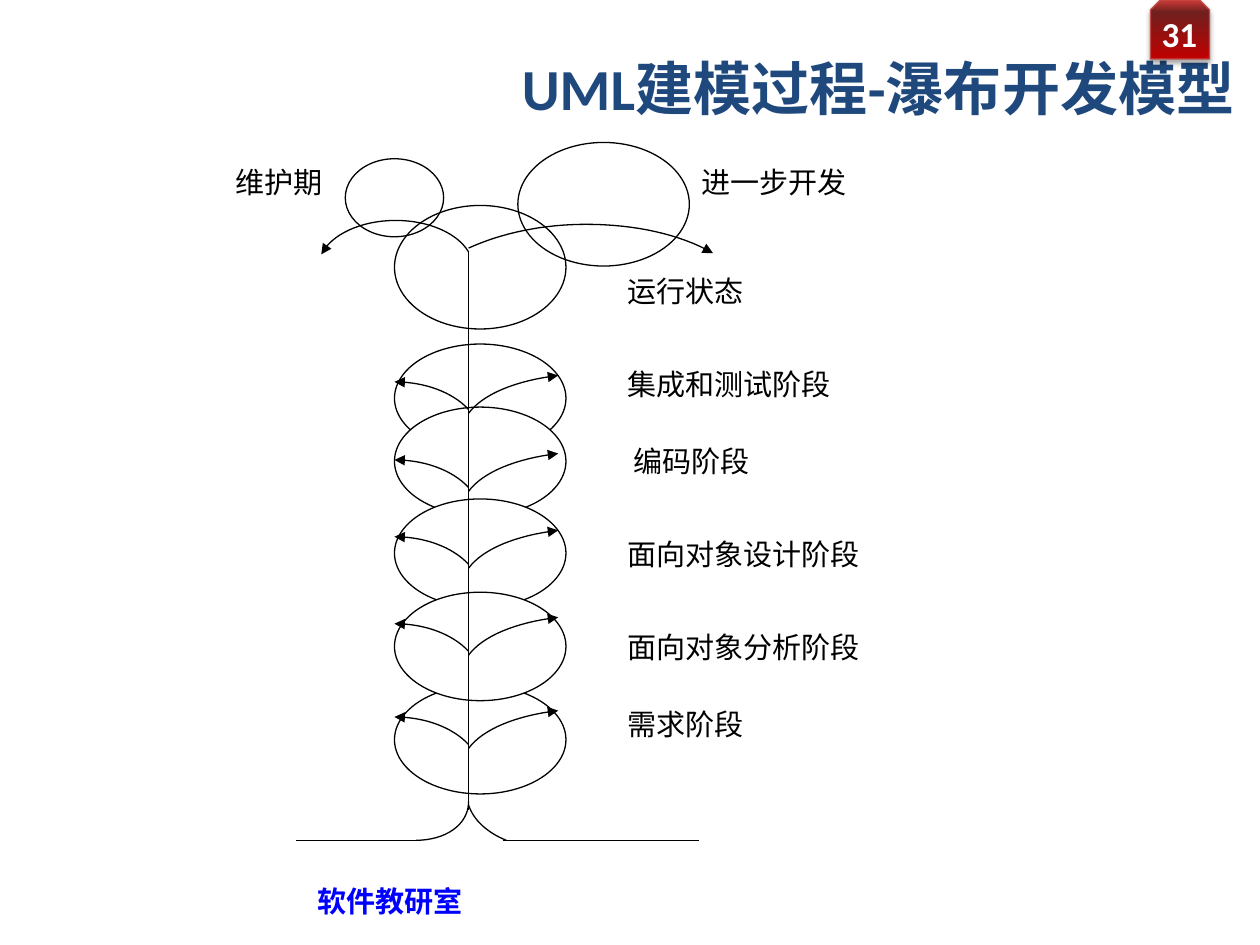
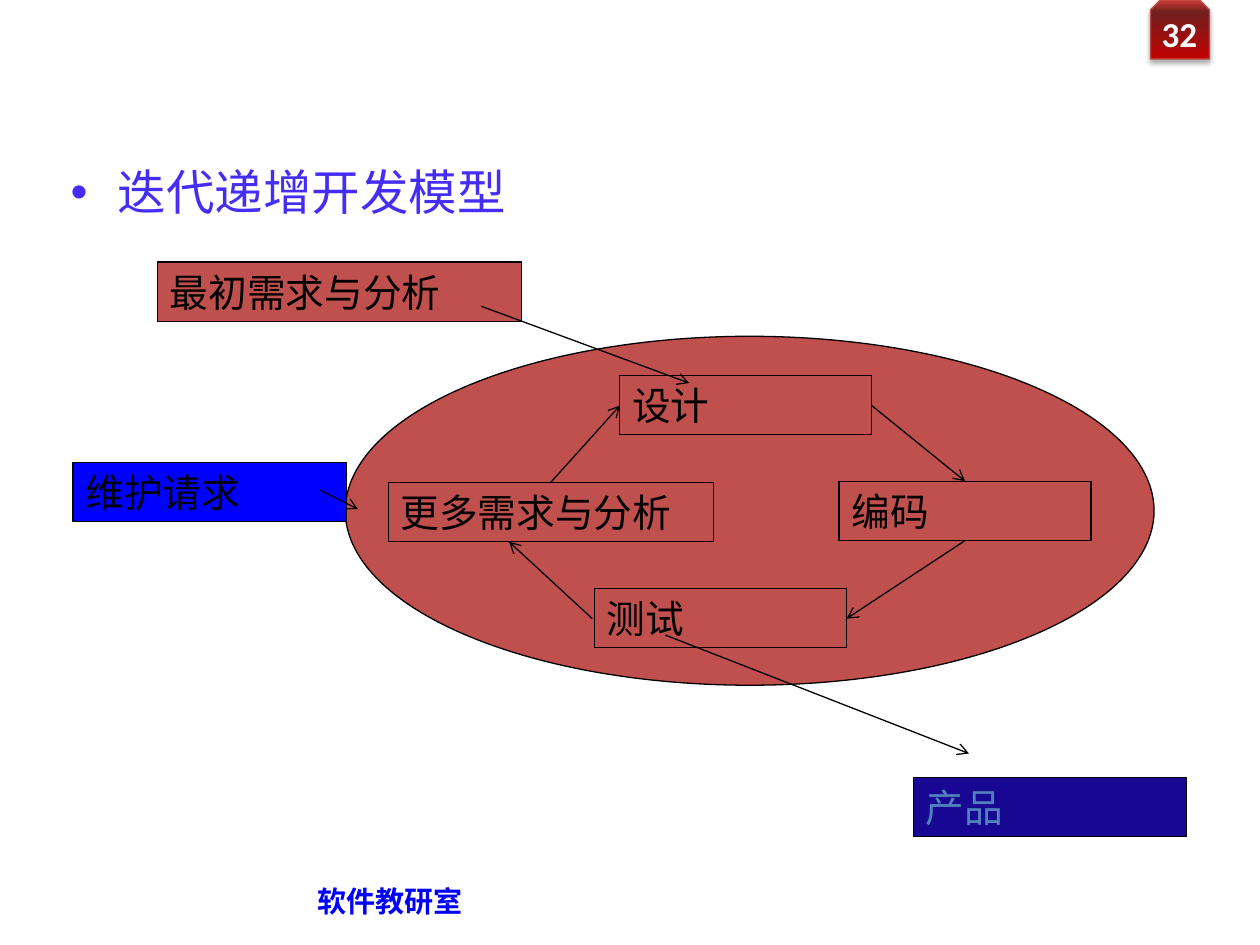
"""Build two slides on software development models."""
from copy import deepcopy

from lxml.etree import SubElement
from pptx import Presentation
from pptx.dml.color import RGBColor
from pptx.enum.shapes import MSO_CONNECTOR, MSO_SHAPE
from pptx.enum.text import MSO_ANCHOR, MSO_AUTO_SIZE, PP_ALIGN
from pptx.oxml.ns import qn
from pptx.util import Pt

BLACK, WHITE, RED, BLUE = "000000", "FFFFFF", "C0504D", "0000FF"
TITLE = dict(name="Calibri", size=Pt(33.2), bold=True)
BODY = dict(name="Calibri", size=Pt(27.7))
PAGE = dict(name="Calibri", size=Pt(20), bold=True)
FOOT = dict(name="Arial", size=Pt(16.6), bold=True)
LABEL = dict(name="Times New Roman", size=Pt(16.6))
STEP = dict(name="DejaVu Sans", size=Pt(22.1))


def rgb(code):
    """Turn a hex string into a colour."""
    return RGBColor.from_string(code)


def bezier(a, b, c, d, steps=16):
    """Return points along a cubic curve."""
    times = [i / steps for i in range(steps + 1)]
    return [tuple((1 - t) ** 3 * p + 3 * t * (1 - t) ** 2 * q
                  + 3 * t * t * (1 - t) * r + t ** 3 * s
                  for p, q, r, s in zip(a, b, c, d)) for t in times]


class Deck:
    """Hold the shared style and the current slide."""

    def __init__(self):
        """Open a blank 4:3 deck."""
        self.prs = Presentation()
        self.prs.slide_width, self.prs.slide_height = Pt(720), Pt(540)

    def start(self, layout, page):
        """Add a slide with its page badge and footer."""
        self.slide = self.prs.slides.add_slide(self.prs.slide_layouts[layout])
        self.shapes = self.slide.shapes
        self.badge(page)
        self.text("软件教研室", (174.2, 500.4, 100, 28.8), FOOT, BLUE,
                  anchor=MSO_ANCHOR.MIDDLE)

    def label(self, shape, words, look, color, align=PP_ALIGN.LEFT,
              anchor=MSO_ANCHOR.TOP, wrap=True):
        """Put one styled paragraph into a shape."""
        frame = shape.text_frame
        frame.auto_size, frame.word_wrap = MSO_AUTO_SIZE.NONE, wrap
        frame.vertical_anchor = anchor
        frame.text = words
        para = frame.paragraphs[0]
        para.alignment, para.space_before = align, Pt(0)
        for key, value in look.items():
            setattr(para.font, key, value)
        para.font.color.rgb = rgb(color)
        return para

    def text(self, words, box, look, color=BLACK, **place):
        """Add a text box."""
        shape = self.shapes.add_textbox(*map(Pt, box))
        self.label(shape, words, look, color, wrap=False, **place)

    def holder(self, shape, words, box, look, color, **place):
        """Move and fill a placeholder."""
        for key, value in zip(("left", "top", "width", "height"), box):
            setattr(shape, key, Pt(value))
        return self.label(shape, words, look, color, **place)

    def line(self, shape, arrow=None, color=BLACK):
        """Draw a thin outline, with an arrowhead at its end if asked."""
        shape.line.color.rgb = rgb(color)
        shape.line.width = Pt(0.75)
        if arrow:
            edge = shape.element.spPr.find(qn("a:ln"))
            SubElement(edge, qn("a:tailEnd"), type=arrow)

    def form(self, kind, box, fill=None, edge=BLACK):
        """Add a preset shape."""
        shape = self.shapes.add_shape(kind, *map(Pt, box))
        shape.shadow.inherit = False
        if fill:
            shape.fill.solid()
            shape.fill.fore_color.rgb = rgb(fill)
        else:
            shape.fill.background()
        self.line(shape, color=edge)
        return shape

    def oval(self, box, fill=None):
        """Add an ellipse."""
        self.form(MSO_SHAPE.OVAL, box, fill)

    def step(self, words, left, top, width=144, fill=RED, color=BLACK):
        """Add a labelled process box."""
        shape = self.form(MSO_SHAPE.RECTANGLE, (left, top, width, 33.8), fill)
        self.label(shape, words, STEP, color)

    def link(self, *ends, arrow=None):
        """Add a straight line."""
        wire = self.shapes.add_connector(MSO_CONNECTOR.STRAIGHT, *map(Pt, ends))
        self.line(wire, arrow)
        SubElement(wire.element.spPr, qn("a:effectLst"))

    def curve(self, *knots, arrow=None):
        """Add a curve through joined cubic pieces."""
        dots = [knots[0]]
        for i in range(0, len(knots) - 1, 3):
            dots += bezier(*knots[i:i + 4])[1:]
        dots = [tuple(map(Pt, dot)) for dot in dots]
        pen = self.shapes.build_freeform(*dots[0])
        pen.add_line_segments(dots[1:], close=False)
        shape = pen.convert_to_shape()
        shape.shadow.inherit = False
        shape.fill.background()
        self.line(shape, arrow)

    def badge(self, page):
        """Add the page number on its red tab."""
        tab = self.form(MSO_SHAPE.SNIP_2_SAME_RECTANGLE,
                        (657.4, 0, 33.8, 33.8), edge="BF4C48")
        tab.fill.gradient()
        tab.fill.gradient_angle = 90
        stops = tab.element.spPr.find(".//" + qn("a:gsLst"))
        stops.append(deepcopy(stops[-1]))
        tints = ((0, "C00000"), (0.8, "70201E"), (1, "CE3B37"))
        for stop, (spot, tint) in zip(tab.fill.gradient_stops, tints):
            stop.position, stop.color.rgb = spot, rgb(tint)
        glow = SubElement(tab.element.spPr.find(qn("a:effectLst")),
                          qn("a:outerShdw"), blurRad=str(Pt(3.1)),
                          dist=str(Pt(1.8)), dir="5400000", rotWithShape="0")
        shade = SubElement(glow, qn("a:srgbClr"), val=BLACK)
        SubElement(shade, qn("a:alpha"), val="35000")
        self.text(page, (645.8, 5, 45.4, 28.8), PAGE, WHITE,
                  align=PP_ALIGN.RIGHT, anchor=MSO_ANCHOR.MIDDLE)


def fountain(deck):
    """Draw the phases stacked along a trunk."""
    deck.start(5, "31")
    deck.holder(deck.shapes.title, "UML建模过程-瀑布开发模型",
                (254.9, 28.8, 457.9, 41.8), TITLE, "1F497D",
                align=PP_ALIGN.RIGHT, anchor=MSO_ANCHOR.MIDDLE)
    for top, high in ((196.6, 62), (391.7, 62), (232.6, 62), (117.4, 70.6),
                      (285.1, 62), (338.4, 62)):
        deck.oval((225.4, top, 98, high), WHITE)
    deck.oval((295.9, 81.4, 98, 70.6))
    deck.oval((197.3, 90.7, 56.2, 44.6))

    mid, base = 267.8, 480.2
    deck.link(169.2, base, 239.8, base)
    deck.link(287.3, base, 399.6, base)
    deck.link(mid, 463, mid, 144)
    deck.curve((237.6, base), (254.2, base), (mid, 471.6), (mid, 458))
    deck.curve((289.4, base), (278.6, 475.9), (270.7, 468.7), (mid, 460.1))
    deck.curve((mid, 144), (261.4, 133.2), (244.8, 126), (226.1, 126),
               (206.6, 126), (189.4, 133.9), (183.6, 145.4), arrow="triangle")
    deck.curve((mid, 141.8), (286.6, 133.2), (310.3, 128.2), (334.8, 128.2),
               (362.9, 128.2), (388.8, 133.9), (407.5, 144.7), arrow="triangle")
    for y in (409.7, 356.4, 306.7, 262.8, 218.2):
        deck.curve((mid, y + 15.8), (258.5, y + 5.8), (242.6, y), (225.4, y),
                   arrow="triangle")
        deck.curve((mid, y + 18), (275.8, y + 7.2), (294.5, y - 0.7),
                   (319, y - 3.6), arrow="triangle")

    for words, left, top in (
            ("需求阶段", 351.4, 400.3), ("面向对象分析阶段", 351.4, 356.4),
            ("面向对象设计阶段", 351.4, 303.1), ("编码阶段", 355, 249.8),
            ("集成和测试阶段", 351.4, 205.9), ("运行状态", 351.4, 152.6),
            ("进一步开发", 393.8, 90.7), ("维护期", 127.4, 90.7)):
        deck.text(words, (left, top, 150, 26.6), LABEL)


def cycle(deck):
    """Draw the iterative and incremental loop."""
    deck.start(1, "32")
    title = deck.shapes.title.element
    title.getparent().remove(title)
    deck.oval((197.3, 192.2, 462.2, 199.4), RED)
    deck.step("设计", 354.2, 214.6)
    deck.step("编码", 479.5, 275)
    deck.step("测试", 339.8, 336.2)
    deck.step("更多需求与分析", 221.8, 275.8, 185.8)
    para = deck.holder(deck.slide.placeholders[1], "迭代递增开发模型",
                       (33.1, 92.9, 529.2, 38.2), BODY, "452DF5")
    para.line_spacing = 0.9
    deck.step("最初需求与分析", 90, 149.8, 208.1)
    deck.step("产品", 522, 444.2, 156.2, "180793", "4F81BD")
    deck.step("维护请求", 41.8, 264.2, 156.2, BLUE)
    for ends in ((498.2, 231.8, 551.5, 275), (551.5, 308.9, 483.8, 353.5),
                 (338.4, 353.5, 290.9, 309.6), (314.6, 275.8, 354.2, 231.8),
                 (275, 175, 393.8, 218.9), (182.9, 280.1, 204.5, 290.9),
                 (380.2, 362.9, 553.7, 430.6)):
        deck.link(*ends, arrow="arrow")


def main():
    """Build and save the deck."""
    deck = Deck()
    fountain(deck)
    cycle(deck)
    deck.prs.save("out.pptx")


if __name__ == "__main__":
    main()
